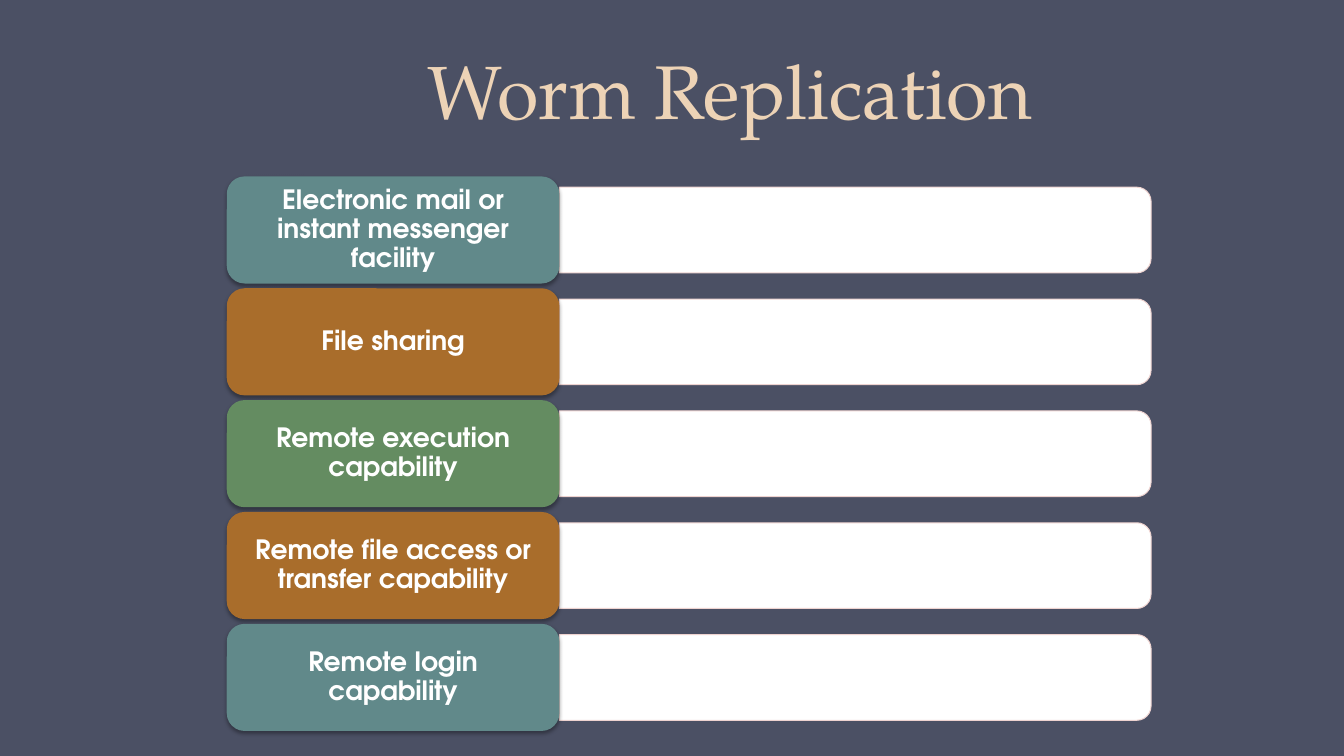
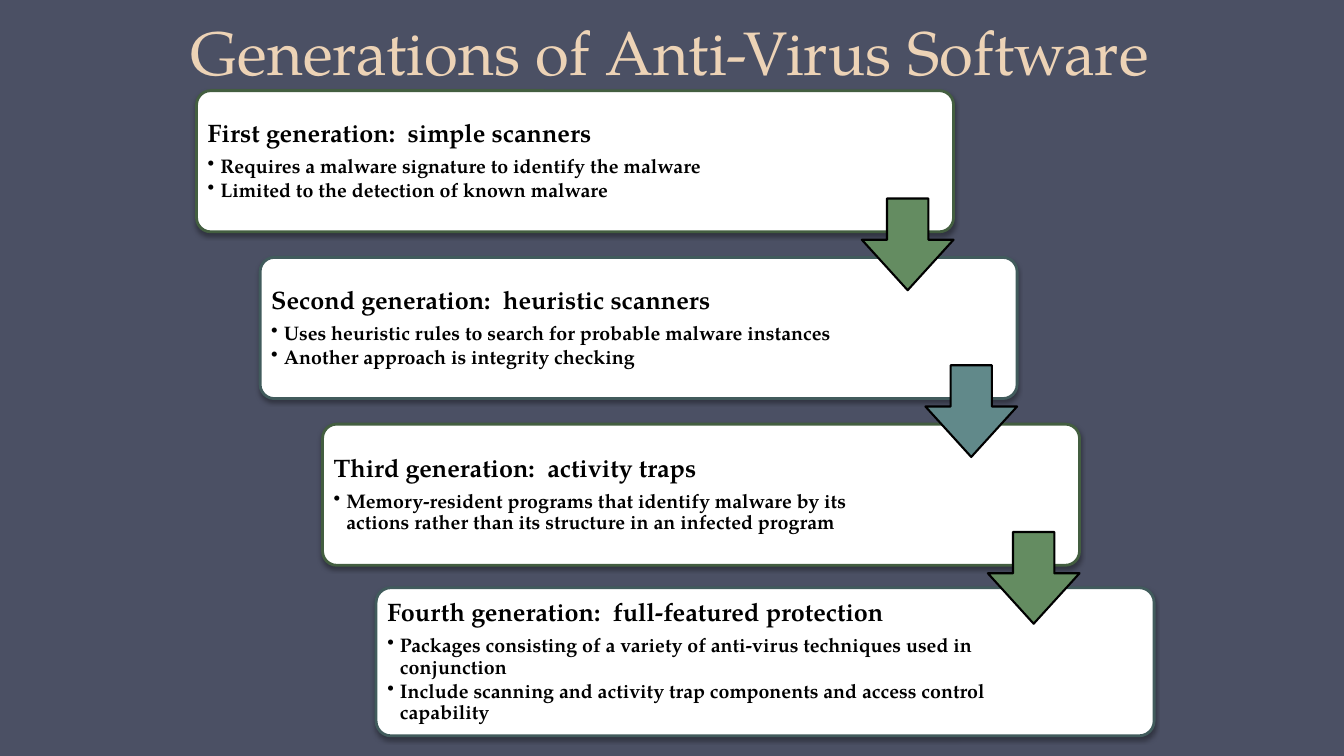
"""Build two slides on worms and on anti-virus software."""
from dataclasses import dataclass
from typing import Any

from lxml import etree
from pptx import Presentation
from pptx.dml.color import RGBColor
from pptx.enum.shapes import MSO_SHAPE
from pptx.enum.text import MSO_ANCHOR, PP_ALIGN
from pptx.oxml.ns import qn
from pptx.util import Pt

ROUND = MSO_SHAPE.ROUNDED_RECTANGLE
TAB = MSO_SHAPE.ROUND_2_SAME_RECTANGLE
DOWN = MSO_SHAPE.DOWN_ARROW
MIDDLE, BOTTOM = MSO_ANCHOR.MIDDLE, MSO_ANCHOR.BOTTOM
CENTER, LEFT = PP_ALIGN.CENTER, PP_ALIGN.LEFT

SLATE, SAND, WHITE, BLACK = "4B5064", "EDD3B6", "FFFFFF", "000000"
TEAL, RUST, GREEN, PINK = "61898A", "A96D2B", "648C61", "EED3D0"
DARK_GREEN, DARK_TEAL = "435E40", "415B5C"
SERIF, SANS = "TeX Gyre Pagella", "TeX Gyre Adventor"

TITLE_PARA = {"alignment": CENTER, "line_spacing": Pt(58)}
LABEL_FONT = {"name": SANS, "size": Pt(19), "bold": True}
LABEL_PARA = {"alignment": CENTER, "line_spacing": 0.9}
HEAD_FONT = {"name": SERIF, "size": Pt(18), "bold": True}
HEAD_PARA = {"alignment": LEFT, "line_spacing": 0.9, "space_after": Pt(6.3)}
POINT_FONT = HEAD_FONT | {"size": Pt(14)}
POINT_PARA = HEAD_PARA | {"level": 1, "space_after": Pt(2.1)}
LABEL_FRAME = {"word_wrap": True, "vertical_anchor": MIDDLE,
               "margin_left": Pt(5.8), "margin_right": Pt(5.8),
               "margin_top": Pt(2.9), "margin_bottom": Pt(2.9)}
CARD_FRAME = {"word_wrap": True, "vertical_anchor": MIDDLE,
              "margin_left": Pt(5), "margin_right": Pt(117),
              "margin_top": Pt(5), "margin_bottom": Pt(5)}


@dataclass(frozen=True)
class Box:
    """A place and size in points."""
    x: float
    y: float
    w: float
    h: float


@dataclass(frozen=True)
class Row:
    """A label and its fill."""
    text: str
    fill: str


@dataclass(frozen=True)
class Card:
    """A card with a heading, its points and the fill of its arrow."""
    box: Box
    edge: str
    head: str
    points: tuple[str, ...]
    arrow: str | None


ROWS = (
    Row("Electronic mail or instant messenger facility", TEAL),
    Row("File sharing", RUST),
    Row("Remote execution capability", GREEN),
    Row("Remote file access or transfer capability", RUST),
    Row("Remote login capability", TEAL),
)
CARDS = (
    Card(Box(140.4, 64.8, 540.7, 100.8), DARK_GREEN,
         "First generation:  simple scanners",
         ("Requires a malware signature to identify the malware",
          "Limited to the detection of known malware"), GREEN),
    Card(Box(185.8, 183.9, 540.7, 100.8), DARK_TEAL,
         "Second generation:  heuristic scanners",
         ("Uses heuristic rules to search for probable malware instances",
          "Another approach is integrity checking"), TEAL),
    Card(Box(230.4, 303, 540.7, 100.8), DARK_GREEN,
         "Third generation:  activity traps",
         ("Memory-resident programs that identify malware by its actions "
          "rather than its structure in an infected program",), GREEN),
    Card(Box(268.6, 419.8, 555.8, 105.8), DARK_TEAL,
         "Fourth generation:  full-featured protection",
         ("Packages consisting of a variety of anti-virus techniques used "
          "in conjunction",
          "Include scanning and activity trap components and access "
          "control capability"), None),
)


def style(item: Any, values: dict[str, Any]) -> None:
    """Set each format value on an item."""
    for name, value in values.items():
        setattr(item, name, value)


def paint(fill: Any, tint: str) -> None:
    """Give a fill one solid colour."""
    fill.solid()
    fill.fore_color.rgb = RGBColor.from_string(tint)


def place(box: Box) -> tuple[Pt, Pt, Pt, Pt]:
    """Turn a box into lengths."""
    return Pt(box.x), Pt(box.y), Pt(box.w), Pt(box.h)


def draw(slide: Any, kind: Any, box: Box, fill: str, edge: str | None = None,
         width: float = 0, adjust: tuple[float, ...] = ()) -> Any:
    """Draw a filled shape with no shadow."""
    shape = slide.shapes.add_shape(kind, *place(box))
    shape.shadow.inherit = False
    for index, value in enumerate(adjust):
        shape.adjustments[index] = value
    paint(shape.fill, fill)
    if edge:
        paint(shape.line.fill, edge)
        shape.line.width = Pt(width)
    else:
        shape.line.fill.background()
    return shape


def shade(shape: Any) -> None:
    """Add a soft shadow below a shape."""
    effects = shape._element.spPr.find(qn("a:effectLst"))
    outer = etree.SubElement(effects, qn("a:outerShdw"), blurRad=str(Pt(3.1)),
                             dist=str(Pt(1.8)), dir="5400000", rotWithShape="0")
    tint = etree.SubElement(outer, qn("a:srgbClr"), val=BLACK)
    etree.SubElement(tint, qn("a:alpha"), val="35000")


def write(para: Any, text: str, tint: str, look: dict[str, Any],
          font: dict[str, Any]) -> None:
    """Fill a paragraph with one styled run."""
    style(para, look)
    run = para.add_run()
    run.text = text
    style(run.font, font)
    run.font.color.rgb = RGBColor.from_string(tint)


def mark(para: Any) -> None:
    """Put a hanging bullet on a paragraph."""
    props = para._p.get_or_add_pPr()
    props.set("marL", str(Pt(9)))
    props.set("indent", str(Pt(-9)))
    etree.SubElement(props, qn("a:buChar"), char="•")


def start(deck: Any, title: str, box: Box, size: float) -> Any:
    """Add a blank slide with its ground and title."""
    slide = deck.slides.add_slide(deck.slide_layouts[6])
    paint(slide.background.fill, SLATE)
    frame = slide.shapes.add_textbox(*place(box)).text_frame
    style(frame, {"word_wrap": True, "vertical_anchor": BOTTOM})
    write(frame.paragraphs[0], title, SAND, TITLE_PARA,
          {"name": SERIF, "size": Pt(size)})
    return slide


def add_row(slide: Any, row: Row, top: float) -> None:
    """Draw a label with the bar to its right."""
    long, thick = 422.6, 61.2
    mid_x, mid_y = 399.6 + long / 2, top + 38.3
    bar = draw(slide, TAB, Box(mid_x - thick / 2, mid_y - long / 2, thick, long),
               WHITE, PINK, 0.75)
    bar.rotation = 90
    label = draw(slide, ROUND, Box(162, top, 237.6, 76.5), row.fill)
    shade(label)
    style(label.text_frame, LABEL_FRAME)
    write(label.text_frame.paragraphs[0], row.text, WHITE, LABEL_PARA, LABEL_FONT)


def add_card(slide: Any, card: Card) -> None:
    """Draw a card with its heading and points."""
    shape = draw(slide, ROUND, card.box, WHITE, card.edge, 2, (0.1,))
    shade(shape)
    frame = shape.text_frame
    style(frame, CARD_FRAME)
    write(frame.paragraphs[0], card.head, BLACK, HEAD_PARA, HEAD_FONT)
    for point in card.points:
        para = frame.add_paragraph()
        style(para, POINT_PARA)
        mark(para)
        write(para, point, BLACK, {}, POINT_FONT)


def add_arrow(slide: Any, card: Card) -> None:
    """Draw the arrow at the lower right of a card."""
    side = 65.5
    box = Box(card.box.x + card.box.w - side, card.box.y + 77, side, side)
    draw(slide, DOWN, box, card.arrow, BLACK, 1.5, (0.45, 0.55))


def main() -> None:
    """Build and save the deck."""
    deck = Presentation()
    style(deck, {"slide_width": Pt(960), "slide_height": Pt(540)})
    worm = start(deck, "Worm Replication", Box(202.3, 9.4, 637.9, 90), 54)
    for index, row in enumerate(ROWS):
        add_row(worm, row, 126 + 79.9 * index)
    ages = start(deck, "Generations of Anti-Virus Software",
                 Box(118.8, 0, 720, 66.2), 44)
    for card in CARDS:
        add_card(ages, card)
    for card in CARDS:
        if card.arrow:
            add_arrow(ages, card)
    deck.save("out.pptx")


if __name__ == "__main__":
    main()
